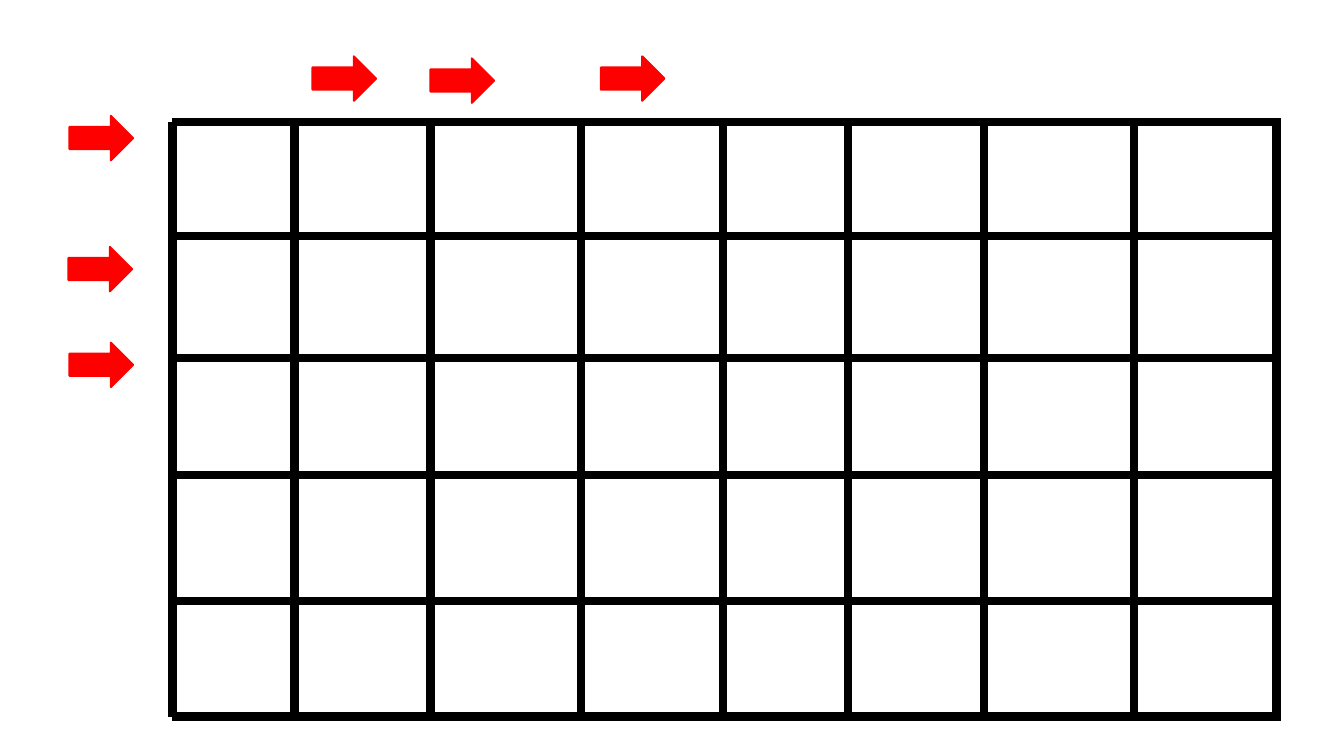
import pptx
import pptx.util
import pptx.dml.color
import pptx.enum.shapes
import pptx.oxml.ns
import lxml.etree

WIDE, HIGH = 13.33, 7.5
INK = {"grid": "000000", "arrow": "FF0000"}
COLS = [0, 1.21, 2.56, 4.05, 5.46, 6.7, 8.05, 9.54, 10.95]
ROWS = [0, 1.13, 2.34, 3.5, 4.75, 5.9]
DROP = {5.46: -0.04, 6.7: 0.03, 8.05: 0.03, 9.54: 0.03}
TOPS = [(3.1, 0.56), (4.27, 0.58), (5.96, 0.56)]
SIDES = [(0.69, 1.15), (0.68, 2.45), (0.69, 3.4)]


def tint(name):
    """Return the named colour."""
    return pptx.dml.color.RGBColor.from_string(INK[name])


def rule(slide, *ends):
    """Draw one thick grid line between two points in inches."""
    kind = pptx.enum.shapes.MSO_CONNECTOR.STRAIGHT
    line = slide.shapes.add_connector(kind, *map(pptx.util.Inches, ends))
    line.line.color.rgb = tint("grid")
    line.line.width = pptx.util.Pt(6)
    props = line._element.spPr
    lxml.etree.SubElement(props, pptx.oxml.ns.qn("a:effectLst"))


def grid(slide, left, top, width, height):
    """Rule the columns and rows of the grid in its box."""
    for col in COLS:
        start = top + DROP.get(col, 0)
        rule(slide, left + col, start, left + col, start + height)
    for row in ROWS:
        rule(slide, left, top + row, left + width, top + row)


def arrows(slide, spots, width, height):
    """Place a red right arrow of one size at each spot."""
    kind = pptx.enum.shapes.MSO_SHAPE.RIGHT_ARROW
    for left, top in spots:
        box = map(pptx.util.Inches, (left, top, width, height))
        arrow = slide.shapes.add_shape(kind, *box)
        arrow.shadow.inherit = False
        arrow.fill.solid()
        arrow.fill.fore_color.rgb = tint("arrow")
        arrow.line.color.rgb = tint("arrow")
        arrow.line.width = pptx.util.Pt(1.5)


def main():
    """Build the slide and save it."""
    deck = pptx.Presentation()
    deck.slide_width = pptx.util.Inches(WIDE)
    deck.slide_height = pptx.util.Inches(HIGH)
    slide = deck.slides.add_slide(deck.slide_layouts[6])
    grid(slide, 1.71, 1.21, 11, 5.9)
    arrows(slide, SIDES + TOPS, 0.63, 0.44)
    deck.save("out.pptx")


if __name__ == "__main__":
    main()
